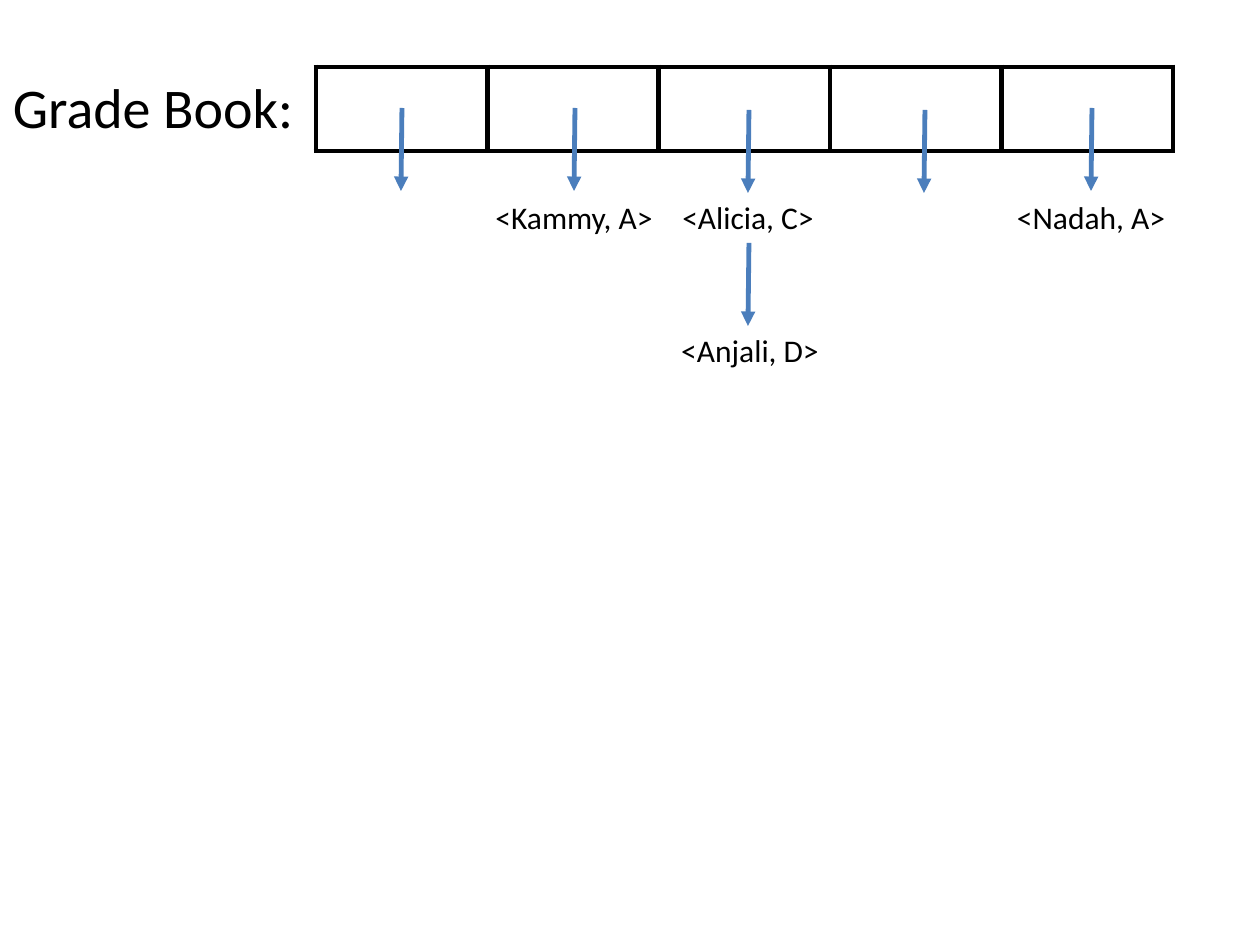
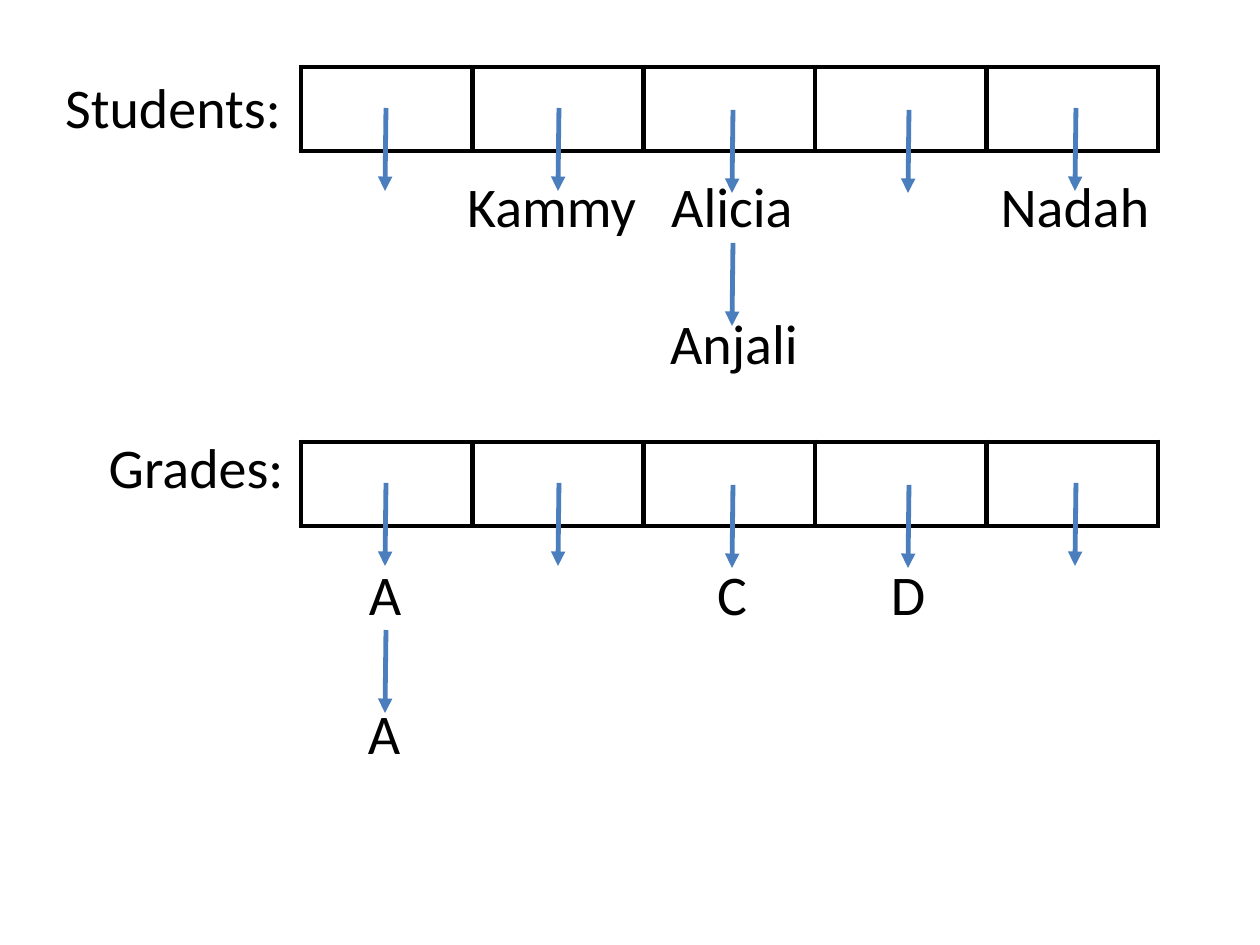
from dataclasses import dataclass

from lxml import etree
from pptx import Presentation
from pptx.dml.color import RGBColor
from pptx.enum.shapes import MSO_CONNECTOR
from pptx.enum.text import MSO_ANCHOR, MSO_AUTO_SIZE, PP_ALIGN
from pptx.oxml.ns import qn
from pptx.util import Emu, Pt

EMU_PER_PIXEL = 914400 / 126


@dataclass(frozen=True)
class Theme:
    """Colours, type and line weights shared by the slides."""
    font: str = "Calibri"
    text: str = "000000"
    cell: str = "FFFFFF"
    border: str = "000000"
    arrow: str = "4B7EBC"
    large: int = 32
    small: int = 18
    border_width: float = 3
    arrow_width: float = 2.75


@dataclass(frozen=True)
class Entry:
    """A value hanging below one bucket, or below another value."""
    text: str
    bucket: int
    chained: bool = False
    nudge: int = 0


@dataclass(frozen=True)
class HashTable:
    """One labelled bucket array and the values that hang from it."""
    label: str
    label_left: int
    label_top: int
    left: int
    top: int
    first_arrow: int
    entry_top: int
    chained_top: int
    chain_arrow_top: int
    entry_size: int
    entry_width: int
    entries: tuple


THEME = Theme()
BUCKETS = 5
ARRAY_WIDTH, ARRAY_HEIGHT = 857, 84
LABEL_WIDTH = 319
TEXT_HEIGHTS = {THEME.large: 118, THEME.small: 89}
ARROW_LENGTH, ARROW_SLANT = 83, -1
# Across from the first arrow, and down from the top of the array.
ARROW_STARTS = ((0, 41), (173, 41), (347, 43), (523, 43), (690, 41))

GRADE_BOOK = HashTable(
    "Grade Book: ", 0, 66, left=316, top=67, first_arrow=402,
    entry_top=192, chained_top=325, chain_arrow_top=243,
    entry_size=THEME.small, entry_width=319,
    entries=(Entry("<Alicia, C>", 2),
             Entry("<Anjali, D>", 2, chained=True, nudge=2),
             Entry("<Nadah, A>", 4),
             Entry("<Kammy, A>", 1)))

STUDENTS = HashTable(
    "Students: ", 20, 66, left=301, top=67, first_arrow=386,
    entry_top=165, chained_top=302, chain_arrow_top=243,
    entry_size=THEME.large, entry_width=319,
    entries=(Entry("Alicia", 2),
             Entry("Anjali", 2, chained=True, nudge=2),
             Entry("Nadah", 4),
             Entry("Kammy ", 1)))

GRADES = HashTable(
    "Grades: ", 43, 426, left=301, top=442, first_arrow=386,
    entry_top=553, chained_top=692, chain_arrow_top=630,
    entry_size=THEME.large, entry_width=93,
    entries=(Entry("A", 0),
             Entry("A", 0, chained=True, nudge=-1),
             Entry("C", 2),
             Entry("D", 3)))


def px(pixels):
    """Turn pixels into EMU."""
    return Emu(round(pixels * EMU_PER_PIXEL))


def rgb(value):
    """Turn a hex string into a colour."""
    return RGBColor.from_string(value)


def add_text(slide, text, left, top, width, size):
    """Add one centred line of text."""
    box = slide.shapes.add_textbox(
        px(left), px(top), px(width), px(TEXT_HEIGHTS[size]))
    frame = box.text_frame
    frame.word_wrap = True
    frame.auto_size = MSO_AUTO_SIZE.SHAPE_TO_FIT_TEXT
    frame.vertical_anchor = MSO_ANCHOR.TOP
    paragraph = frame.paragraphs[0]
    paragraph.alignment = PP_ALIGN.CENTER
    run = paragraph.add_run()
    run.text = text
    run.font.name = THEME.font
    run.font.size = Pt(size)
    run.font.color.rgb = rgb(THEME.text)


def add_arrow(slide, left, top):
    """Add a downward pointer starting at the given place."""
    arrow = slide.shapes.add_connector(
        MSO_CONNECTOR.STRAIGHT, px(left), px(top),
        px(left + ARROW_SLANT), px(top + ARROW_LENGTH))
    arrow.line.color.rgb = rgb(THEME.arrow)
    arrow.line.width = Pt(THEME.arrow_width)
    line = arrow.line._get_or_add_ln()
    etree.SubElement(line, qn("a:tailEnd"), type="triangle")
    etree.SubElement(arrow._element.spPr, qn("a:effectLst"))


def style_cell(cell):
    """Give a cell solid borders on all sides and a plain fill."""
    properties = cell._tc.get_or_add_tcPr()
    for side in ("a:lnL", "a:lnR", "a:lnT", "a:lnB"):
        line = etree.SubElement(
            properties, qn(side), w=str(Pt(THEME.border_width)))
        fill = etree.SubElement(line, qn("a:solidFill"))
        etree.SubElement(fill, qn("a:srgbClr"), val=THEME.border)
    cell.fill.solid()
    cell.fill.fore_color.rgb = rgb(THEME.cell)


def add_array(slide, left, top):
    """Add the row of empty buckets."""
    table = slide.shapes.add_table(
        1, BUCKETS, px(left), px(top),
        px(ARRAY_WIDTH), px(ARRAY_HEIGHT)).table
    table.first_row = False
    table.horz_banding = False
    for column in table.columns:
        column.width = px(ARRAY_WIDTH / BUCKETS)
    for cell in table.iter_cells():
        style_cell(cell)


def add_entry(slide, hash_table, entry):
    """Add a value below its pointer, with a chain arrow if it needs one."""
    arrow_left = hash_table.first_arrow + ARROW_STARTS[entry.bucket][0]
    top = hash_table.entry_top
    if entry.chained:
        add_arrow(slide, arrow_left, hash_table.chain_arrow_top)
        top = hash_table.chained_top
    centre = arrow_left + ARROW_SLANT + entry.nudge
    add_text(slide, entry.text, centre - hash_table.entry_width / 2, top,
             hash_table.entry_width, hash_table.entry_size)


def add_hash_table(slide, hash_table):
    """Add the array, its pointers, its values and its label."""
    add_array(slide, hash_table.left, hash_table.top)
    for across, down in ARROW_STARTS:
        add_arrow(slide, hash_table.first_arrow + across,
                  hash_table.top + down)
    for entry in hash_table.entries:
        add_entry(slide, hash_table, entry)
    add_text(slide, hash_table.label, hash_table.label_left,
             hash_table.label_top, LABEL_WIDTH, THEME.large)


def main():
    """Build both slides and save them."""
    presentation = Presentation()
    presentation.slide_width = px(1260)
    presentation.slide_height = px(945)
    blank_layout = presentation.slide_layouts[6]
    for hash_tables in ((GRADE_BOOK,), (STUDENTS, GRADES)):
        slide = presentation.slides.add_slide(blank_layout)
        for hash_table in hash_tables:
            add_hash_table(slide, hash_table)
    presentation.save("out.pptx")


main()
